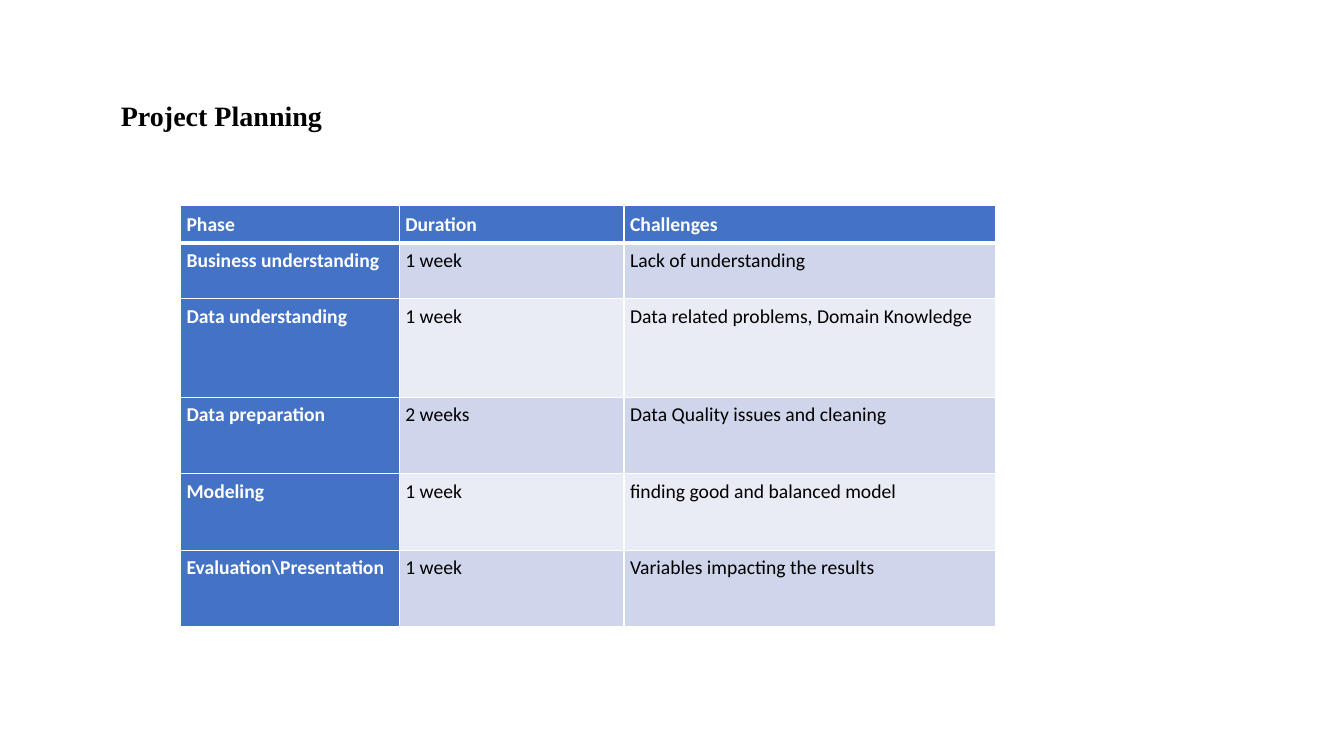
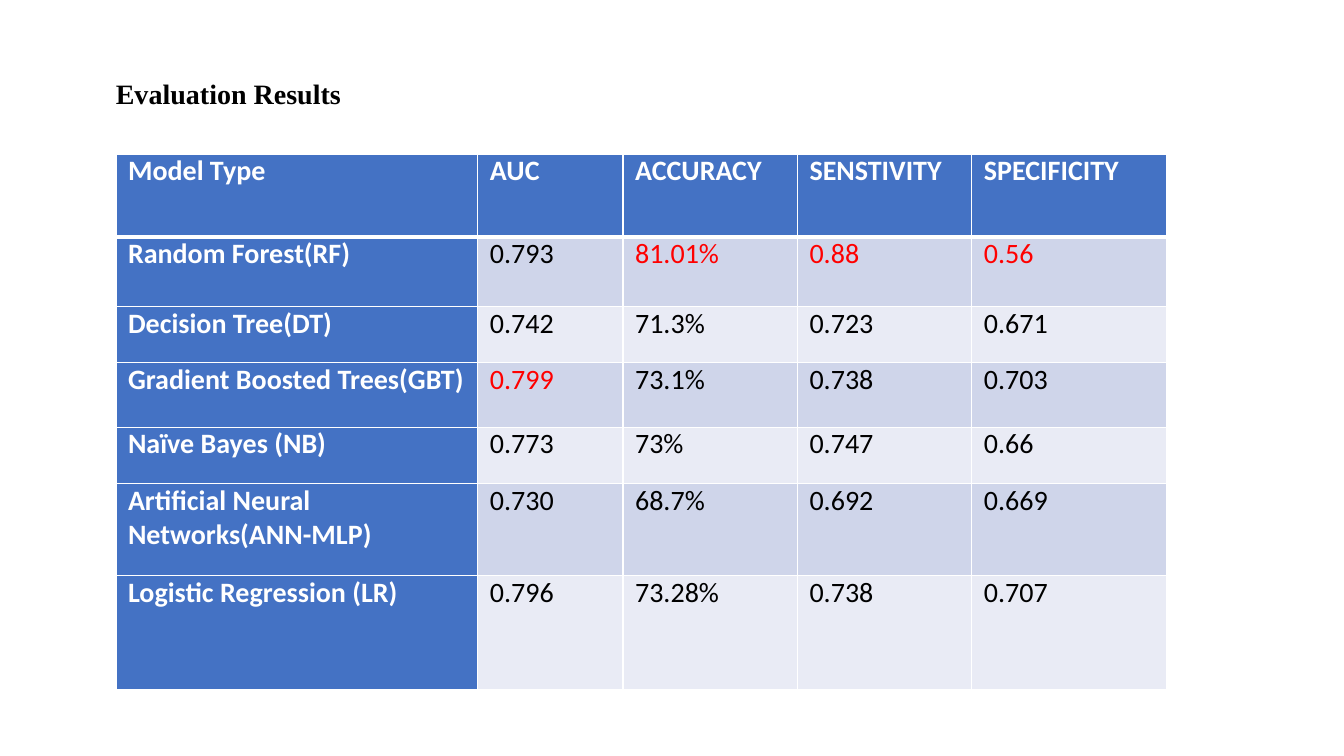
from lxml import etree
from pptx import Presentation, util as u
from pptx.dml.color import RGBColor
from pptx.enum import text
from pptx.oxml import ns

PX = 9144
WHITE = RGBColor(0xFF, 0xFF, 0xFF)
BLACK = RGBColor(0x00, 0x00, 0x00)
RED = RGBColor(0xFF, 0x00, 0x00)
BLUE = RGBColor(0x44, 0x72, 0xC4)
BAND_DARK = RGBColor(0xCF, 0xD5, 0xEA)
BAND_LIGHT = RGBColor(0xE9, 0xEB, 0xF5)
HIGHLIGHTS = {"0.799", "81.01%", "0.88", "0.56"}

SLIDES = [
    {
        "title": "Project Planning",
        "title_box": (110, 93, 745, 44),
        "title_spacing": 1.0,
        "table_at": (179, 204),
        "columns": [217, 223, 368],
        "row_heights": [37, 55, 98, 76, 76, 76],
        "margins": (6, 6),
        "size": 14,
        "header_anchor": text.MSO_ANCHOR.BOTTOM,
        "align": text.PP_ALIGN.LEFT,
        "rows": [
            ("Phase", "Duration", "Challenges"),
            ("Business understanding", "1 week", "Lack of understanding"),
            ("Data understanding", "1 week", "Data related problems, Domain Knowledge"),
            ("Data preparation", "2 weeks", "Data Quality issues and cleaning"),
            ("Modeling", "1 week", "finding good and balanced model"),
            ("Evaluation\\Presentation", "1 week", "Variables impacting the results"),
        ],
    },
    {
        "title": "Evaluation Results",
        "title_box": (105, 54, 1185, 55),
        "title_spacing": 1.5,
        "table_at": (115, 153),
        "columns": [359, 144, 173, 173, 193],
        "row_heights": [82, 69, 56, 64, 56, 91, 113],
        "margins": (12, 0),
        "size": 20,
        "header_anchor": text.MSO_ANCHOR.TOP,
        "align": text.PP_ALIGN.JUSTIFY,
        "rows": [
            ("Model Type", "AUC", "ACCURACY", "SENSTIVITY", "SPECIFICITY"),
            ("Random Forest(RF)", "0.793", "81.01%", "0.88", "0.56"),
            ("Decision Tree(DT)", "0.742", "71.3%", "0.723", "0.671"),
            ("Gradient Boosted Trees(GBT)", "0.799", "73.1%", "0.738", "0.703"),
            ("Naïve Bayes (NB)", "0.773", "73%", "0.747", "0.66"),
            ("Artificial Neural Networks(ANN-MLP)", "0.730", "68.7%", "0.692", "0.669"),
            ("Logistic Regression (LR)", "0.796", "73.28%", "0.738", "0.707"),
        ],
    },
]


def style_font(paragraph, name, size, color, bold):
    for run in paragraph.runs:
        run.font.name = name
        run.font.size = u.Pt(size)
        run.font.color.rgb = color
        run.font.bold = bold


def add_borders(cell, row):
    widths = {"lnL": 1, "lnR": 1, "lnT": 3 if row == 1 else 1, "lnB": 3 if row == 0 else 1}
    properties = cell._tc.get_or_add_tcPr()
    for side, width in widths.items():
        line = etree.SubElement(properties, ns.qn(f"a:{side}"), w=str(u.Pt(width)))
        paint = etree.SubElement(line, ns.qn("a:solidFill"))
        etree.SubElement(paint, ns.qn("a:srgbClr"), val=str(WHITE))


deck = Presentation()
deck.slide_width = 1333 * PX
deck.slide_height = 750 * PX

for content in SLIDES:
    slide = deck.slides.add_slide(deck.slide_layouts[6])

    size = sum(content["columns"]), sum(content["row_heights"])
    box = [n * PX for n in content["table_at"] + size]
    table = slide.shapes.add_table(
        len(content["rows"]), len(content["columns"]), *box
    ).table
    table.first_row = False
    table.horz_banding = False
    for column, width in zip(table.columns, content["columns"]):
        column.width = width * PX
    for row, height in zip(table.rows, content["row_heights"]):
        row.height = height * PX

    side_margin, end_margin = (n * PX for n in content["margins"])
    for r, values in enumerate(content["rows"]):
        for c, value in enumerate(values):
            cell = table.cell(r, c)
            heading = r == 0 or c == 0
            add_borders(cell, r)
            cell.fill.solid()
            cell.fill.fore_color.rgb = BLUE if heading else BAND_DARK if r % 2 else BAND_LIGHT
            cell.margin_left = cell.margin_right = side_margin
            cell.margin_top = cell.margin_bottom = end_margin
            cell.vertical_anchor = content["header_anchor"] if r == 0 else text.MSO_ANCHOR.TOP
            cell.text_frame.text = value
            paragraph = cell.text_frame.paragraphs[0]
            paragraph.alignment = text.PP_ALIGN.LEFT if r and c == 0 else content["align"]
            color = WHITE if heading else RED if value in HIGHLIGHTS else BLACK
            style_font(paragraph, "Calibri", content["size"], color, heading)

    title = slide.shapes.add_textbox(*(n * PX for n in content["title_box"])).text_frame
    title.word_wrap = True
    title.auto_size = text.MSO_AUTO_SIZE.SHAPE_TO_FIT_TEXT
    title.text = content["title"]
    title.paragraphs[0].line_spacing = content["title_spacing"]
    style_font(title.paragraphs[0], "Times New Roman", 20, BLACK, True)

deck.save("out.pptx")
